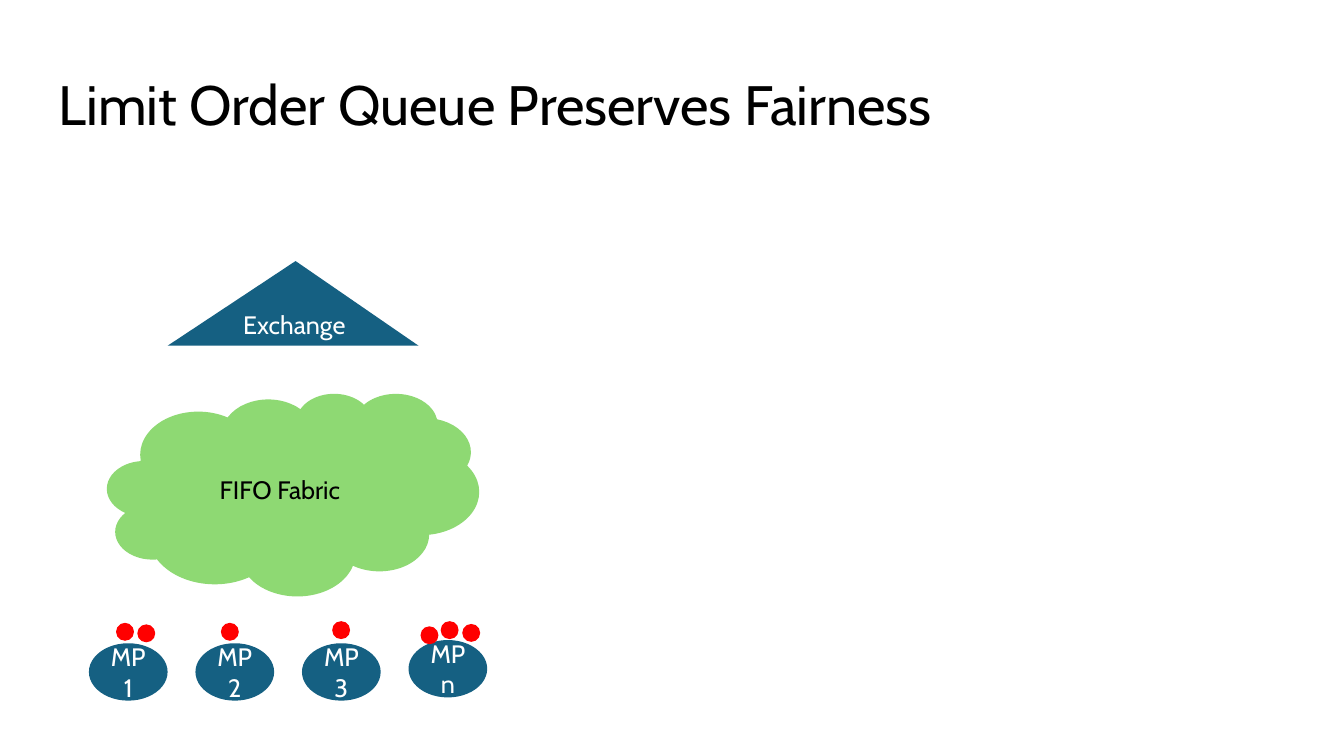
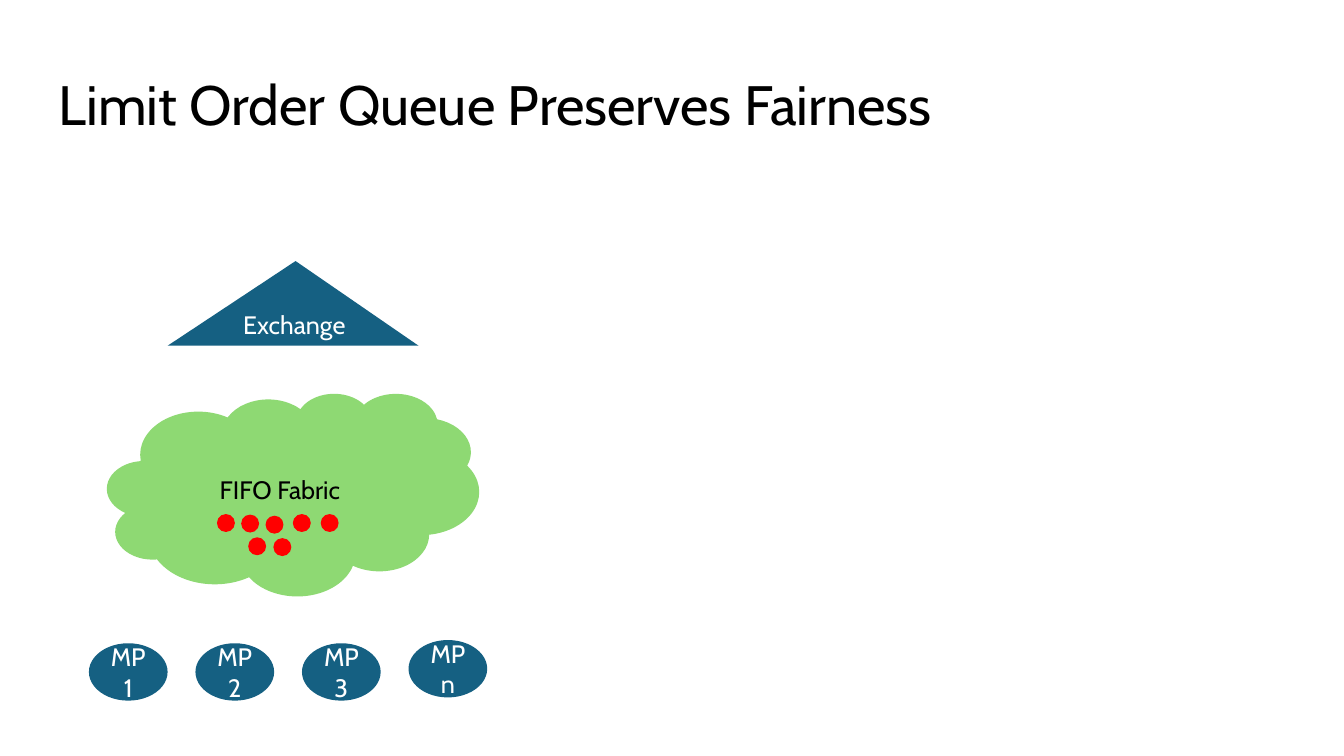
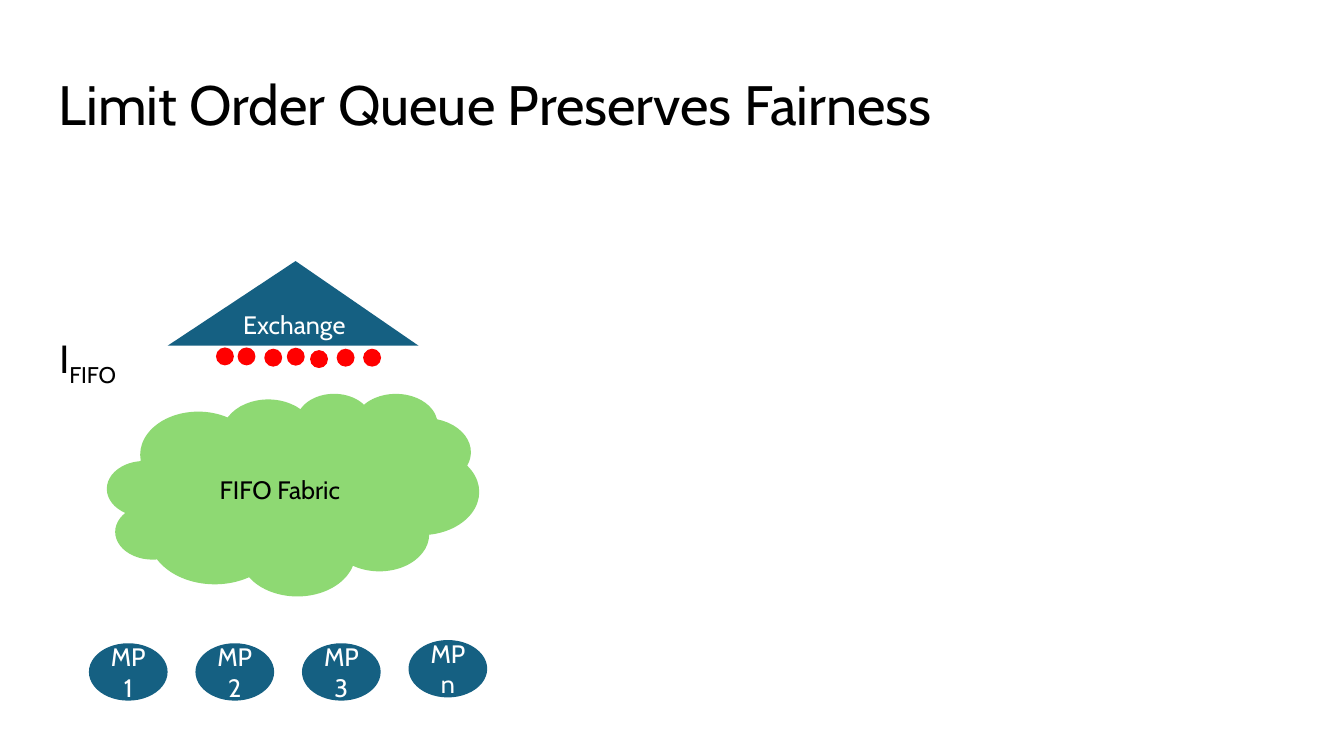
from dataclasses import dataclass

from pptx import Presentation
from pptx.dml.color import RGBColor
from pptx.enum.shapes import MSO_SHAPE
from pptx.enum.text import MSO_ANCHOR
from pptx.util import Pt


@dataclass(frozen=True)
class Theme:
    font: str = "Cabin"
    text: RGBColor = RGBColor(0, 0, 0)
    light_text: RGBColor = RGBColor(255, 255, 255)
    node: RGBColor = RGBColor(0x15, 0x60, 0x82)
    fabric: RGBColor = RGBColor(0x8E, 0xD9, 0x73)
    order: RGBColor = RGBColor(255, 0, 0)
    title_size: float = 39.6
    note_size: float = 28
    label_size: float = 18


@dataclass(frozen=True)
class Box:
    left: float
    top: float
    width: float
    height: float

    def inner(self, left, top, width, height):
        """Box whose offset is counted from this box's corner."""
        return Box(self.left + left, self.top + top, width, height)

    def lengths(self):
        return Pt(self.left), Pt(self.top), Pt(self.width), Pt(self.height)


THEME = Theme()
TITLE = "Limit Order Queue Preserves Fairness"
TITLE_BOX = Box(32.4, 46.8, 894.2, 60.5)
TITLE_INSET = 9.4
NOTE_BOX = Box(35.3, 235.4, 80.6, 41)

DIAGRAM = Box(63.5, 186.5, 287, 314)
EXCHANGE = DIAGRAM.inner(56.2, 0, 179.3, 60.5)
FABRIC = DIAGRAM.inner(13, 94.3, 265.7, 144.7)
MP_PITCH = 76.1
MPS = {
    name: DIAGRAM.inner(column * MP_PITCH, top, 56.2, 41)
    for column, (name, top) in enumerate(
        [("MP1", 273), ("MP2", 273), ("MP3", 273), ("MPn", 270.7)]
    )
}
ORDER_SIZE = 12.8

# Order offsets, counted from the part that holds the orders
ORDERS_AT_MPS = {
    "MP1": [(19.4, -14.6), (34.6, -13.5)],
    "MP2": [(18.2, -14.6)],
    "MP3": [(21.6, -15.8)],
    "MPn": [(23, -13.5), (38.4, -11.5), (8.6, -9.8)],
}
ORDERS_IN_FABRIC = [
    (78.5, 86.4), (95.8, 86.8), (113.2, 87.6), (132.7, 86.4),
    (152.6, 86.4), (100.8, 103), (118.8, 103.6),
]
ORDERS_AT_EXCHANGE = [
    (34.6, 61.7), (50, 61.7), (69.1, 62.6), (85.2, 61.9),
    (101.8, 63.6), (120.8, 62.6), (139.7, 62.6),
]


def style(paragraph, size, color):
    font = paragraph.font
    font.name, font.size, font.color.rgb = THEME.font, Pt(size), color


def add_part(slide, preset, box, fill, label="", color=THEME.light_text):
    """Flat preset shape with an optional centred label."""
    part = slide.shapes.add_shape(preset, *box.lengths())
    part.shadow.inherit = False
    part.fill.solid()
    part.fill.fore_color.rgb = fill
    part.line.fill.background()
    if label:
        paragraph = part.text_frame.paragraphs[0]
        paragraph.text = label
        style(paragraph, THEME.label_size, color)
    return part


def add_title(slide, box):
    frame = slide.shapes.add_textbox(*box.lengths()).text_frame
    frame.word_wrap = True
    frame.vertical_anchor = MSO_ANCHOR.MIDDLE
    frame.margin_left = frame.margin_right = Pt(TITLE_INSET)
    frame.margin_top = frame.margin_bottom = Pt(TITLE_INSET)
    heading = frame.paragraphs[0]
    heading.text = TITLE
    heading.line_spacing = 0.9
    style(heading, THEME.title_size, THEME.text)


def add_network(slide):
    exchange = add_part(slide, MSO_SHAPE.ISOSCELES_TRIANGLE, EXCHANGE,
                        THEME.node, "Exchange")
    exchange.adjustments[0] = 0.51
    for name, box in MPS.items():
        add_part(slide, MSO_SHAPE.OVAL, box, THEME.node, name)
    add_part(slide, MSO_SHAPE.CLOUD, FABRIC, THEME.fabric,
             "FIFO Fabric", THEME.text)


def add_orders(slide, holder, offsets):
    for left, top in offsets:
        box = holder.inner(left, top, ORDER_SIZE, ORDER_SIZE)
        add_part(slide, MSO_SHAPE.OVAL, box, THEME.order)


def add_fifo_note(slide, box):
    frame = slide.shapes.add_textbox(*box.lengths()).text_frame
    frame.word_wrap = True
    note = frame.paragraphs[0]
    style(note, THEME.note_size, THEME.text)
    note.add_run().text = "I"
    subscript = note.add_run()
    subscript.text = "FIFO"
    subscript._r.get_or_add_rPr().set("baseline", "-25000")


def add_stage(deck, order_groups):
    """Slide with the network and the orders at one stage of their way."""
    slide = deck.slides.add_slide(deck.slide_layouts[6])
    add_title(slide, TITLE_BOX)
    add_network(slide)
    for holder, offsets in order_groups:
        add_orders(slide, holder, offsets)
    return slide


def main():
    deck = Presentation()
    deck.slide_width, deck.slide_height = Pt(960), Pt(540)
    add_stage(deck, [(MPS[name], offsets)
                     for name, offsets in ORDERS_AT_MPS.items()])
    add_stage(deck, [(FABRIC, ORDERS_IN_FABRIC)])
    arrival = add_stage(deck, [(EXCHANGE, ORDERS_AT_EXCHANGE)])
    add_fifo_note(arrival, NOTE_BOX)
    deck.save("out.pptx")


if __name__ == "__main__":
    main()
